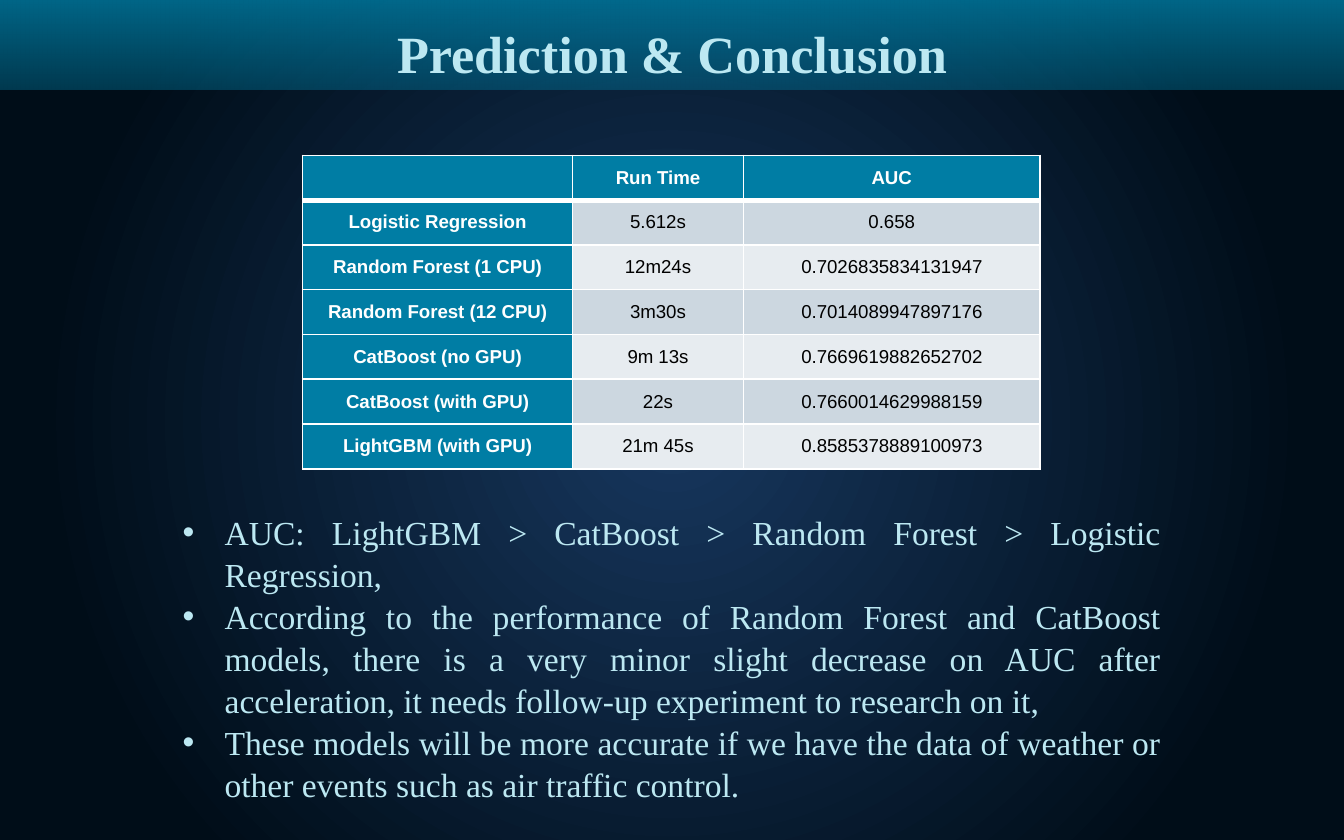
from lxml import etree
from pptx import Presentation
from pptx.dml.color import RGBColor
from pptx.enum.shapes import MSO_SHAPE
from pptx.enum.text import MSO_ANCHOR, MSO_AUTO_SIZE, PP_ALIGN
from pptx.oxml.ns import qn
from pptx.util import Emu, Pt

BAND = MSO_SHAPE.ROUND_2_SAME_RECTANGLE
TOP, MIDDLE = MSO_ANCHOR.TOP, MSO_ANCHOR.MIDDLE
NO_FIT = MSO_AUTO_SIZE.NONE
CENTER, JUSTIFY = PP_ALIGN.CENTER, PP_ALIGN.JUSTIFY

SERIF, SANS = "Times New Roman", "Arial"
TEAL, ICE, SKY = "007DA4", "BCE8F2", "4EC3DE"
WHITE, BLACK = "FFFFFF", "000000"
STRIPES = ("CCD7E0", "E7ECF0")
COLUMNS = (193, 122, 212)
RESULTS = (
    ("", "Run Time", "AUC"),
    ("Logistic Regression", "5.612s", "0.658"),
    ("Random Forest (1 CPU)", "12m24s", "0.7026835834131947"),
    ("Random Forest (12 CPU)", "3m30s", "0.7014089947897176"),
    ("CatBoost (no GPU)", "9m 13s", "0.7669619882652702"),
    ("CatBoost (with GPU)", "22s", "0.7660014629988159"),
    ("LightGBM (with GPU)", "21m 45s", "0.8585378889100973"),
)
CONCLUSIONS = (
    "AUC: LightGBM > CatBoost > Random Forest > Logistic Regression,",
    "According to the performance of Random Forest and CatBoost models, there is "
    "a very minor slight decrease on AUC after acceleration, it needs follow-up "
    "experiment to research on it,",
    "These models will be more accurate if we have the data of weather or other "
    "events such as air traffic control.",
)


def px(n):
    """Turn pixels, 96 to the inch, into EMU."""
    return Emu(n * 9525)


def rgb(value):
    """Turn a hex string into a colour."""
    return RGBColor.from_string(value)


def add(parent, tag, **attrs):
    """Append a DrawingML child with the given attributes."""
    return etree.SubElement(parent, qn(tag), {k: str(v) for k, v in attrs.items()})


def set_gradient(fill, parent, stops, angle=None):
    """Fill with (position, colour, opacity) stops, radially if no angle is given."""
    fill.solid()
    solid = parent.find(qn("a:solidFill"))
    grad = etree.Element(qn("a:gradFill"), rotWithShape="1")
    parent.replace(solid, grad)
    stop_list = add(grad, "a:gsLst")
    for position, color, opacity in stops:
        stop = add(stop_list, "a:gs", pos=position * 1000)
        clr = add(stop, "a:srgbClr", val=color)
        if opacity < 100:
            add(clr, "a:alpha", val=opacity * 1000)
    if angle is None:
        circle = add(grad, "a:path", path="circle")
        add(circle, "a:fillToRect", l=50000, t=50000, r=50000, b=50000)
    else:
        add(grad, "a:lin", ang=angle * 60000, scaled=0)


def set_font(font, name, size, color, bold=False):
    """Set the face, size, colour and weight of a font."""
    font.name, font.size, font.bold = name, Pt(size), bold
    font.color.rgb = rgb(color)


def set_margins(obj, x, top, bottom):
    """Set the inner margins of a cell or text frame."""
    obj.margin_left = obj.margin_right = px(x)
    obj.margin_top, obj.margin_bottom = px(top), px(bottom)


def set_borders(cell, bottom):
    """Draw white lines round a cell, with the bottom width in points."""
    pr = cell.fill._xPr
    sides = (("a:lnL", 1), ("a:lnR", 1), ("a:lnT", 1), ("a:lnB", bottom))
    for i, (tag, width) in enumerate(sides):
        ln = add(pr, tag, w=Pt(width))
        add(add(ln, "a:solidFill"), "a:srgbClr", val=WHITE)
        pr.insert(i, ln)


def set_background(s):
    """Paint the radial night-blue background."""
    fill = s.background.fill
    fill.solid()
    parent = s.background._cSld.bg.bgPr
    set_gradient(fill, parent, ((0, "17375E", 100), (80, "000D18", 100)))


def add_header(s, x, y, w, h):
    """Place the title over a translucent band."""
    band = s.shapes.add_shape(BAND, px(x), px(y), px(w), px(h))
    band.adjustments[0] = band.adjustments[1] = 0
    band.shadow.inherit = False
    band.line.fill.background()
    set_gradient(band.fill, band.element.spPr, ((0, TEAL, 80), (100, TEAL, 39)), 90)

    title = s.shapes.title
    title.left, title.top = px(x + 271), px(y - 3)
    title.width, title.height = px(418), px(61)
    title.element.addprevious(band.element)
    tf = title.text_frame
    tf.text = "Prediction & Conclusion"
    tf.auto_size, tf.vertical_anchor = NO_FIT, TOP
    set_margins(tf, 10, 9, 0)
    p = tf.paragraphs[0]
    p.alignment, p.line_spacing, p.space_before = CENTER, 1.2, Pt(0)
    font = p.runs[0].font
    set_font(font, SERIF, 28, ICE, True)
    stops = ((0, SKY, 100), (40, ICE, 100), (60, ICE, 100), (100, SKY, 100))
    set_gradient(font.fill, p.runs[0]._r.rPr, stops, 0)


def fill_cell(cell, text, row, col):
    """Write and format one cell of the results table."""
    heading = row == 0 or col == 0
    cell.fill.solid()
    cell.fill.fore_color.rgb = rgb(TEAL if heading else STRIPES[(row - 1) % 2])
    set_borders(cell, 3 if row == 0 else 1)
    set_margins(cell, 5, 0, 0)
    cell.vertical_anchor = MIDDLE
    if text:
        cell.text_frame.text = text
        p = cell.text_frame.paragraphs[0]
        p.alignment = CENTER
        p.space_before = p.space_after = Pt(6)
        set_font(p.runs[0].font, SANS, 10, WHITE if heading else BLACK, heading)


def add_results(s, x, y, w, h):
    """Place the table of run times and AUC scores."""
    shape = s.shapes.add_table(len(RESULTS), len(COLUMNS), px(x), px(y), px(w), px(h))
    table = shape.table
    table.first_col = True
    for column, width in zip(table.columns, COLUMNS):
        column.width = px(width)
    for i, values in enumerate(RESULTS):
        table.rows[i].height = px(h // len(RESULTS))
        for j, text in enumerate(values):
            fill_cell(table.cell(i, j), text, i, j)


def add_conclusions(s, x, y, w, h):
    """Place the justified bullet list."""
    tf = s.shapes.add_textbox(px(x), px(y), px(w), px(h)).text_frame
    tf.word_wrap = True
    tf.text = "\n".join(CONCLUSIONS)
    for p in tf.paragraphs:
        p.alignment, p.line_spacing = JUSTIFY, 1.04
        pr = p._p.get_or_add_pPr()
        pr.set("marL", str(px(30)))
        pr.set("indent", str(px(-30)))
        add(pr, "a:buFont", typeface=SANS)
        add(pr, "a:buChar", char="•")
        set_font(p.runs[0].font, SERIF, 18, ICE)


def main():
    """Build and save the slide."""
    prs = Presentation()
    prs.slide_width, prs.slide_height = px(960), px(600)
    s = prs.slides.add_slide(prs.slide_layouts[5])
    set_background(s)
    add_header(s, 0, 0, 960, 64)
    add_results(s, 216, 111, sum(COLUMNS), 224)
    add_conclusions(s, 121, 360, 718, 213)
    prs.save("out.pptx")


if __name__ == "__main__":
    main()
